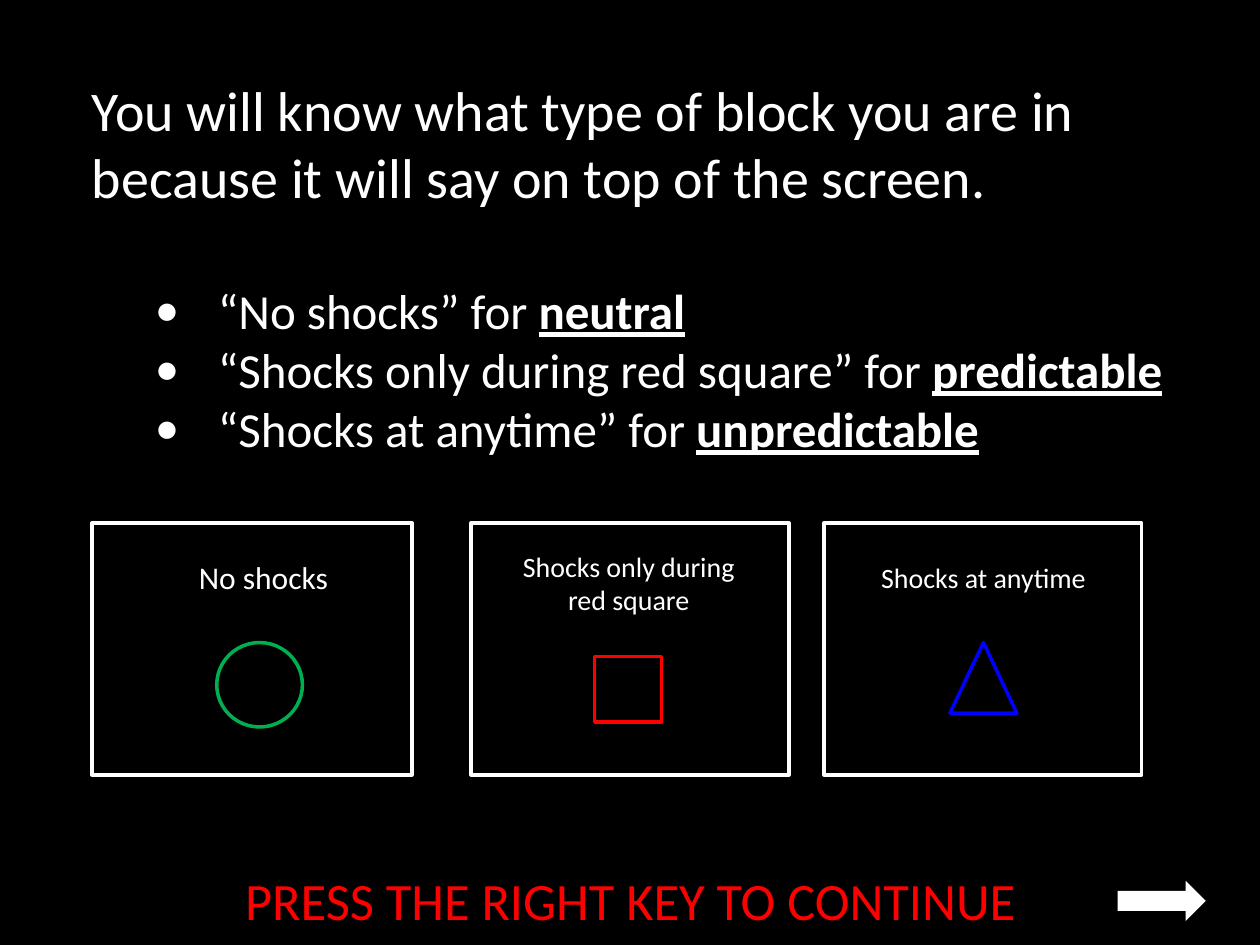
from dataclasses import dataclass

from lxml.etree import SubElement
from pptx import Presentation
from pptx.dml.color import RGBColor
from pptx.enum.shapes import MSO_SHAPE
from pptx.enum.text import MSO_ANCHOR, MSO_AUTO_SIZE, PP_ALIGN
from pptx.oxml.ns import qn
from pptx.util import Pt


@dataclass(frozen=True)
class Theme:
    font: str = "Calibri"
    black: RGBColor = RGBColor(0, 0, 0)
    white: RGBColor = RGBColor(255, 255, 255)
    red: RGBColor = RGBColor(255, 0, 0)
    green: RGBColor = RGBColor(0, 176, 80)
    blue: RGBColor = RGBColor(0, 0, 255)
    heading: int = 32
    bullet: int = 28
    prompt: int = 30
    large_label: int = 18
    label: int = 16
    outline: int = 2


theme = Theme()


def write(box, area, text, size, color=theme.white, align=PP_ALIGN.LEFT, anchor=MSO_ANCHOR.TOP):
    """Place a text-holding shape and format all its paragraphs alike."""
    box.left, box.top, box.width, box.height = [Pt(length) for length in area]
    frame = box.text_frame
    frame.text = text
    frame.word_wrap = True
    frame.auto_size = MSO_AUTO_SIZE.NONE
    frame.vertical_anchor = anchor
    for para in frame.paragraphs:
        para.alignment = align
        para.space_before = Pt(0)
        for span in para.runs:
            span.font.name = theme.font
            span.font.size = Pt(size)
            span.font.color.rgb = color


def draw_outline(kind, area, color):
    shape = page.shapes.add_shape(kind, *[Pt(length) for length in area])
    shape.shadow.inherit = False
    shape.fill.background()
    shape.line.color.rgb = color
    shape.line.width = Pt(theme.outline)


deck = Presentation()
deck.slide_width, deck.slide_height = Pt(720), Pt(540)
page = deck.slides.add_slide(deck.slide_layouts[1])
page.background.fill.solid()
page.background.fill.fore_color.rgb = theme.black

# Heading and list of block types
write(page.shapes.title, (45.36, 39.6, 630, 90),
      "You will know what type of block you are in because it will say on top of the screen.",
      theme.heading)

block_types = [
    ("“No shocks” for ", "neutral"),
    ("“Shocks only during red square” for ", "predictable"),
    ("“Shocks at anytime” for ", "unpredictable"),
]
body = page.placeholders[1]
write(body, (45.36, 156.8, 630, 112), "\n".join(cue for cue, name in block_types), theme.bullet)
for para, (cue, name) in zip(body.text_frame.paragraphs, block_types):
    properties = para._p.get_or_add_pPr()
    properties.set("marL", str(Pt(72)))
    properties.set("indent", str(Pt(-36)))
    SubElement(properties, qn("a:buFont")).set("typeface", theme.font)
    SubElement(properties, qn("a:buChar")).set("char", "•")
    span = para.add_run()
    span.text = name
    span.font.name = theme.font
    span.font.size = Pt(theme.bullet)
    span.font.color.rgb = theme.white
    span.font.bold = True
    span.font.underline = True

# Example screens: frame left and width, label, symbol
screens = [
    (52.56, 182.88, "No shocks", (106.56, 315.36, 93.6, 28.8), theme.large_label, PP_ALIGN.LEFT,
     MSO_SHAPE.OVAL, (123.84, 367.2, 48.96, 48.24), theme.green),
    (269.28, 181.44, "Shocks only during red square", (280.08, 310.32, 158.4, 46.08),
     theme.label, PP_ALIGN.CENTER,
     MSO_SHAPE.RECTANGLE, (339.84, 375.12, 38.16, 37.44), theme.red),
    (470.88, 181.44, "Shocks at anytime", (493.92, 316.8, 136.08, 26.64),
     theme.label, PP_ALIGN.CENTER,
     MSO_SHAPE.ISOSCELES_TRIANGLE, (542.88, 367.2, 38.16, 40.32), theme.blue),
]
for left, width, label, label_area, size, align, symbol, symbol_area, color in screens:
    draw_outline(MSO_SHAPE.RECTANGLE, (left, 298.8, width, 144), theme.white)
    write(page.shapes.add_textbox(0, 0, 0, 0), label_area, label, size, align=align)
    draw_outline(symbol, symbol_area, color)

# Prompt and arrow
write(page.shapes.add_textbox(0, 0, 0, 0), (0, 488.16, 720.72, 51.84),
      "PRESS THE RIGHT KEY TO CONTINUE", theme.prompt, theme.red,
      PP_ALIGN.CENTER, MSO_ANCHOR.MIDDLE)
arrow = page.shapes.add_shape(MSO_SHAPE.RIGHT_ARROW, Pt(638.64), Pt(503.28), Pt(50.4), Pt(23.04))
arrow.shadow.inherit = False
arrow.fill.solid()
arrow.fill.fore_color.rgb = theme.white
arrow.line.fill.background()

deck.save("out.pptx")
